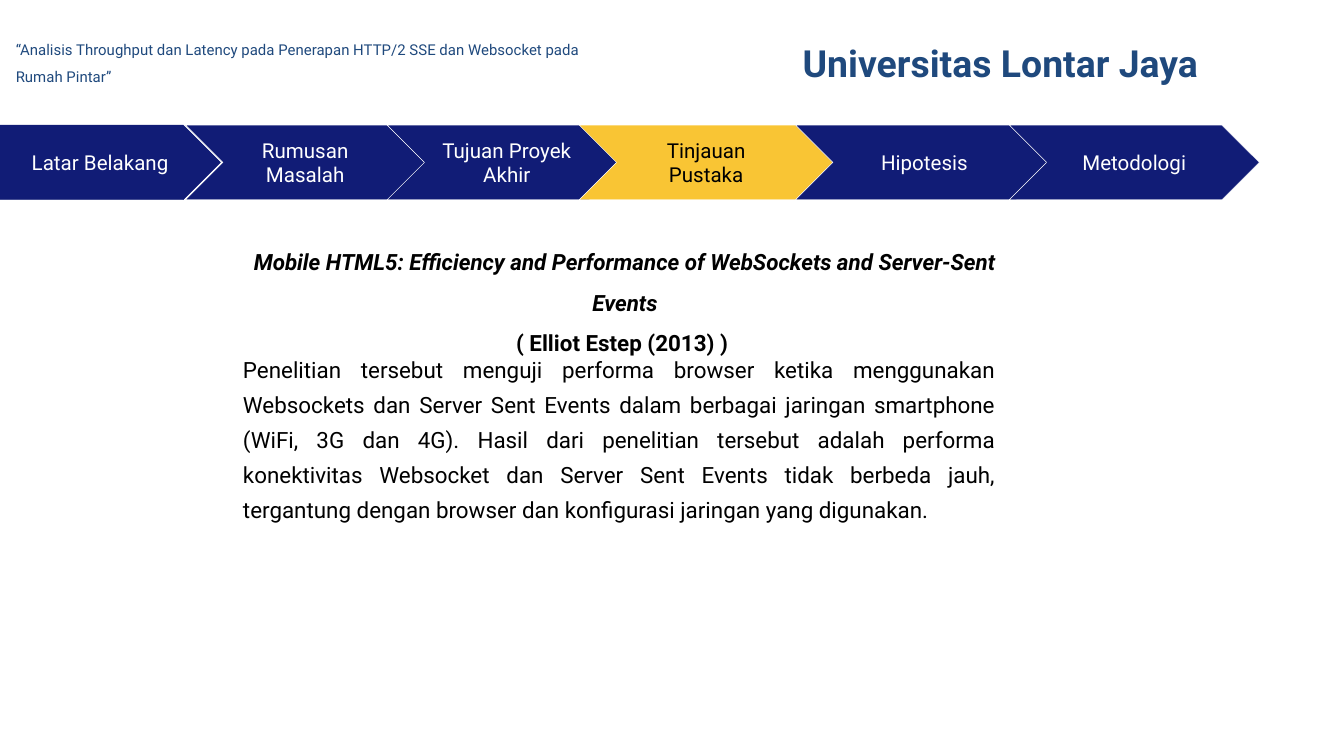
from pptx import Presentation
from pptx.dml.color import RGBColor
from pptx.enum.shapes import MSO_SHAPE
from pptx.enum.text import MSO_ANCHOR, PP_ALIGN
from pptx.util import Pt

CHEVRON, PENTAGON = MSO_SHAPE.CHEVRON, MSO_SHAPE.PENTAGON
LEFT, CENTER, JUSTIFY = PP_ALIGN.LEFT, PP_ALIGN.CENTER, PP_ALIGN.JUSTIFY
MIDDLE = MSO_ANCHOR.MIDDLE
FONT = "Roboto"
NAVY, GOLD, BLUE, WHITE, BLACK = "111C76", "F9C534", "1F497D", "FFFFFF", "000000"

STEPS = [
    ("Rumusan Masalah", 99.4, 128.2),
    ("Tujuan Proyek Akhir", 207.4, 128.2),
    ("Tinjauan Pustaka", 310.3, 136.1),
    ("Hipotesis", 426.2, 138.2),
    ("Metodologi", 540.7, 133.9),
    ("Latar Belakang", -0.7, 118.8),
]
FIRST, CURRENT = "Latar Belakang", "Tinjauan Pustaka"


def rgb(color):
    """Return the colour for a hex string."""
    return RGBColor.from_string(color)


def style(p, size, color, align, spacing=None, bold=False, italic=False):
    """Set the font and layout of a paragraph."""
    p.alignment = align
    if spacing:
        p.line_spacing = spacing
    p.font.name = FONT
    p.font.size = Pt(size)
    p.font.bold = bold
    p.font.italic = italic
    p.font.color.rgb = rgb(color)


def add_text(slide, box, lines):
    """Add a text box with one styled paragraph for each line."""
    tf = slide.shapes.add_textbox(*map(Pt, box)).text_frame
    tf.word_wrap = True
    for i, (text, options) in enumerate(lines):
        p = tf.add_paragraph() if i else tf.paragraphs[0]
        p.add_run().text = text
        style(p, **options)


def add_header(slide, left, top):
    """Add the university name and the project title."""
    add_text(slide, (left + 421.2, top + 4.3, 226.8, 54.7), [
        ("Universitas Lontar Jaya",
         dict(size=20, color=BLUE, align=CENTER, bold=True))])
    add_text(slide, (left, top, 340.6, 31), [
        ("“Analisis Throughput dan Latency pada Penerapan HTTP/2 SSE "
         "dan Websocket pada Rumah Pintar”",
         dict(size=8, color=BLUE, align=LEFT, spacing=1.5))])


def add_study(slide, left, top, width):
    """Add the heading and summary of the reviewed study."""
    heading = dict(size=12, color=BLACK, align=CENTER, spacing=1.5, bold=True)
    add_text(slide, (left, top, width, 64.8), [
        ("Mobile HTML5: Efficiency and Performance of WebSockets "
         "and Server-Sent Events", dict(heading, italic=True)),
        ("( Elliot Estep (2013) ) ", heading)])
    add_text(slide, (left, top + 60.5, width - 5.8, 152), [
        ("Penelitian tersebut menguji performa browser ketika menggunakan "
         "Websockets dan Server Sent Events dalam berbagai jaringan smartphone "
         "(WiFi, 3G dan 4G). Hasil dari penelitian tersebut adalah performa "
         "konektivitas Websocket dan Server Sent Events tidak berbeda jauh, "
         "tergantung dengan browser dan konfigurasi jaringan yang digunakan.",
         dict(size=12, color=BLACK, align=JUSTIFY, spacing=1.3))])


def add_steps(slide, left, top, height):
    """Add the row of chapter arrows with the current one highlighted."""
    for name, offset, width in STEPS:
        kind = PENTAGON if name == FIRST else CHEVRON
        sp = slide.shapes.add_shape(
            kind, Pt(left + offset), Pt(top), Pt(width), Pt(height))
        sp.shadow.inherit = False
        sp.fill.solid()
        sp.fill.fore_color.rgb = rgb(GOLD if name == CURRENT else NAVY)
        sp.line.color.rgb = rgb(NAVY if name == FIRST else WHITE)
        sp.line.width = Pt(0.25)
        tf = sp.text_frame
        tf.word_wrap = True
        tf.vertical_anchor = MIDDLE
        p = tf.paragraphs[0]
        p.add_run().text = name
        style(p, 11, BLACK if name == CURRENT else WHITE, CENTER)


def main():
    """Build and save the slide."""
    prs = Presentation()
    prs.slide_width, prs.slide_height = Pt(720), Pt(405)
    s = prs.slides.add_slide(prs.slide_layouts[6])
    add_header(s, 1.4, 13.7)
    add_study(s, 123.1, 122.4, 423.4)
    add_steps(s, 0, 67, 40)
    prs.save("out.pptx")


if __name__ == "__main__":
    main()
